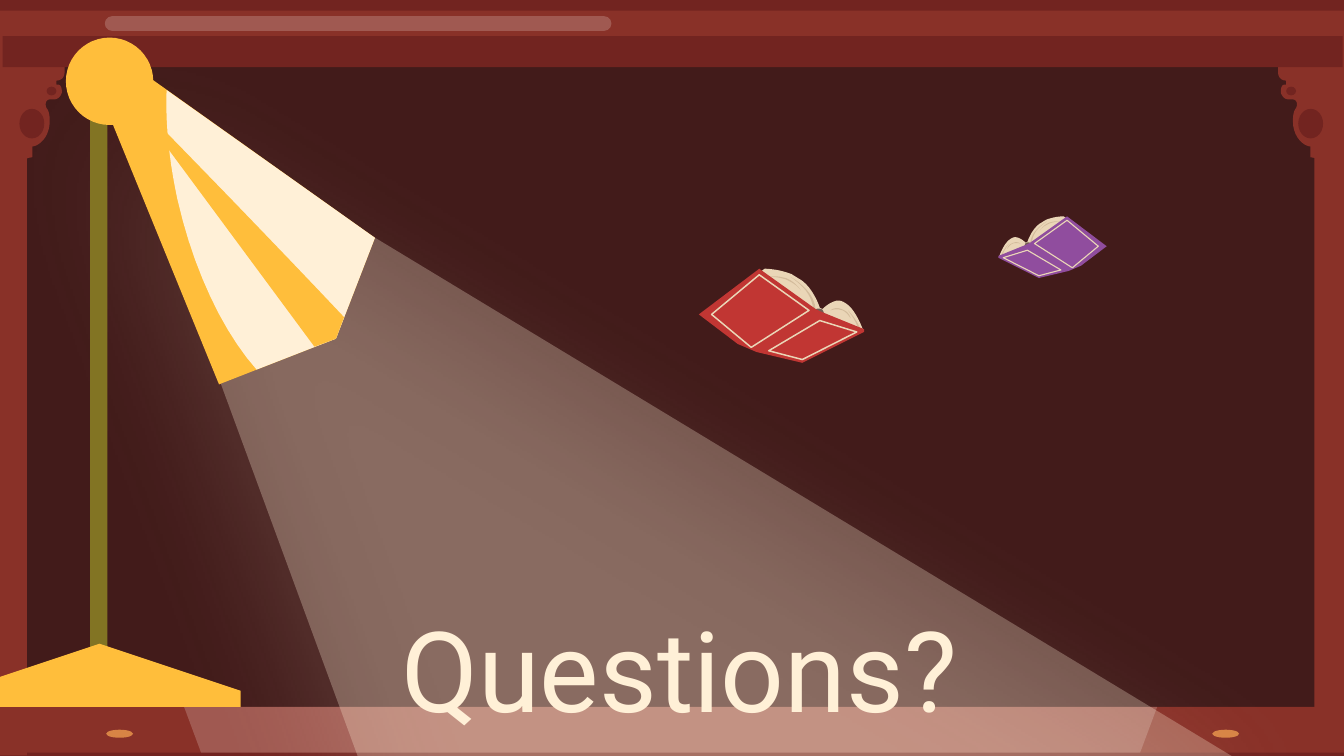
from lxml import etree
from pptx import Presentation
from pptx import util as u
from pptx.dml.color import RGBColor
from pptx.enum import shapes, text
from pptx.oxml.ns import qn

# All places are in hundredths of an inch.
UNIT = 0.0254
STEPS = 10
WIDE, HIGH = 1000, 562.5
MIRROR = 999

THEME = {
    "night": "421B1A", "wood": "893128", "dark": "722420", "white": "FFFCF7",
    "cream": "FFF0D7", "gold": "FFBE3B", "olive": "827423", "light": "D88445",
    "page": "EAD6B7", "shade": "D3BC9C", "spine": "725D52",
    "red": "C13633", "purple": "904D9E", "font": "Roboto", "title": 60,
}

TITLE = {"text": "Questions?", "box": (221, 422, 569, 150)}

# Each part: kind, colour, place (box or outline), opacity in percent
FLOOR = [
    ("rect", "wood", (13, 526, 987, 35), 100),
    ("form", "white", "M 137 526 L 150 561 L 848 561 L 861 526", 20),
    ("rect", "wood", (0, 4, WIDE, 28), 100),
    ("rect", "dark", (0, 0, WIDE, 8), 100),
    ("pill", "white", (78, 12, 377, 11), 20),
    ("rect", "dark", (0, 560, WIDE, 2.5), 100),
    ("rect", "wood", (978, 27, 22, 505), 100),
    ("rect", "wood", (0, 27, 20, 535), 100),
]
CORNER = [
    ("form", "wood", "M 48 49 L -1 49 L 0 143 L 20 143 L 20 137 "
     "C 14 137 12 117 24 117 L 24 109 C 28 109 37 103 37 90 "
     "C 37 85 36 82 35 81 C 33 78 34 74 37 74 L 38 74 "
     "C 38 74 39 74 40 74 C 43 74 45 72 46 69 C 46 67 46 63 43 63 "
     "L 42 63 L 42 60 C 45 60 48 58 48 54", 100),
    ("oval", "dark", (14.5, 81, 18.5, 22), 100),
    ("oval", "dark", (34.7, 64.5, 7.3, 6.5), 100),
]
FRONT = [
    ("rect", "dark", (2, 27, 997, 23), 100),
    ("oval", "light", (79, 543, 20, 6), 100),
    ("oval", "light", (902, 543, 20, 6), 100),
]
BEAM = {"box": (50, -49, 648, 924), "turn": 320.5, "alpha": 28,
        "blur": 73.1, "dist": 28.5, "dir": 90, "glow": 50}
LAMP = [
    ("rect", "olive", (67, 31, 13, 469), 100),
    ("form", "gold", "M 279 177 L 250 252 L 163 286 L 69 56 L 99 49", 100),
    ("form", "cream", "M 279 177 L 250 252 L 191 275 C 166 247 144 201 132 148 "
     "C 126 120 123 92 124 67", 100),
    ("form", "gold", "M 74 479 L 179 514 L 179 526 L -31 526 L -31 514", 100),
    ("form", "gold", "M 256 236 L 250 252 L 234 258 L 92 66 "
     "C 92 66 195 171 256 236", 100),
    ("oval", "gold", (49, 28, 65, 65), 100),
]
BOOK = [
    ("form", "page", "M 589 204 C 592 206 594 207 597 209 C 606 216 610 229 610 229 "
     "L 612 230 C 612 230 620 222 626 224 C 631 226 636 230 642 245 "
     "L 591 253 L 535 224 L 569 200 C 569 200 579 200 589 204", 100),
    ("form", "shade", "M 631 231 C 631 231 638 238 640 245 L 638 244 "
     "C 638 240 631 231 631 231", 100),
    ("form", "shade", "M 626 230 C 629 231 632 233 633 237 C 631 234 629 232 627 231 "
     "C 624 230 621 230 618 231 C 620 229 624 229 626 230", 100),
    ("form", "shade", "M 588 206 C 588 206 606 215 607 231 L 605 230 "
     "C 604 219 597 212 588 206", 100),
    ("form", "shade", "M 585 207 C 590 209 593 212 596 216 C 593 212 589 210 585 208 "
     "C 582 207 578 206 573 206 C 577 205 581 206 585 207", 100),
    ("form", "spine", "M 611 230 C 612 230 613 232 613 233 C 613 234 612 235 610 234 "
     "C 608 234 608 233 607 231 C 607 230 608 229 611 230", 100),
    ("form", "cover", "M 565 200 L 607 230 L 611 232 L 643 245 L 643 247 L 597 270 "
     "L 563 262 L 549 256 L 520 234", 100),
    ("line", "page", "M 565 204.5 L 602 231 L 559 258.5 L 529.5 234", 100),
    ("line", "page", "M 610 238.5 L 637.5 247 L 597 267.5 L 572 261", 100),
]


def cm(val):
    return u.Cm(round(val * UNIT, 6))


def trace(outline):
    """Turn an M/L/C outline into points, with each curve cut into short lines."""
    dots = []
    for cmd in outline.replace("M", "|").replace("L", "|").replace("C", "|").split("|")[1:]:
        nums = [float(n) for n in cmd.split()]
        pts = list(zip(nums[::2], nums[1::2]))
        if len(pts) == 1:
            dots += pts
            continue
        ctrl = [dots[-1]] + pts
        for k in range(1, STEPS + 1):
            t = k / STEPS
            mix = ((1 - t) ** 3, 3 * t * (1 - t) ** 2, 3 * t * t * (1 - t), t ** 3)
            dots.append(tuple(sum(m * p[i] for m, p in zip(mix, ctrl)) for i in (0, 1)))
    return dots


def paint(shp, tone, alpha=100):
    shp.shadow.inherit = False
    shp.fill.solid()
    shp.fill.fore_color.rgb = RGBColor.from_string(tone)
    shp.line.fill.background()
    if alpha < 100:
        tag = next(shp._element.spPr.iter(qn("a:srgbClr")))
        etree.SubElement(tag, qn("a:alpha"), val=str(alpha * 1000))


def draw(pool, parts, move=lambda x, y: (x, y), cover="red", pen=0.8):
    """Draw parts in one group, each point sent through move."""
    kinds = {"rect": shapes.MSO_SHAPE.RECTANGLE, "oval": shapes.MSO_SHAPE.OVAL,
             "pill": shapes.MSO_SHAPE.ROUNDED_RECTANGLE}
    pool = pool.add_group_shape().shapes
    for kind, name, place, alpha in parts:
        tone = THEME[cover if name == "cover" else name]
        if kind in kinds:
            x, y, w, h = place
            (x1, y1), (x2, y2) = move(x, y), move(x + w, y + h)
            box = min(x1, x2), min(y1, y2), abs(x2 - x1), abs(y2 - y1)
            shp = pool.add_shape(kinds[kind], *map(cm, box))
            if kind == "pill":
                shp.adjustments[0] = 0.5
        else:
            dots = [tuple(map(cm, move(*dot))) for dot in trace(place)]
            pencil = pool.build_freeform(*dots[0])
            pencil.add_line_segments(dots[1:], close=True)
            shp = pencil.convert_to_shape()
        paint(shp, tone, alpha)
        if kind == "line":
            shp.fill.background()
            shp.line.color.rgb = RGBColor.from_string(tone)
            shp.line.width = u.Pt(pen)


def shine(pool):
    shp = pool.add_shape(shapes.MSO_SHAPE.ISOSCELES_TRIANGLE, *map(cm, BEAM["box"]))
    shp.rotation = BEAM["turn"]
    paint(shp, THEME["cream"], BEAM["alpha"])
    glow = etree.SubElement(
        shp._element.spPr.find(qn("a:effectLst")), qn("a:outerShdw"),
        blurRad=str(u.Pt(BEAM["blur"])), dist=str(u.Pt(BEAM["dist"])),
        dir=str(BEAM["dir"] * 60000), algn="bl", rotWithShape="0")
    tag = etree.SubElement(glow, qn("a:srgbClr"), val=THEME["cream"])
    etree.SubElement(tag, qn("a:alpha"), val=str(BEAM["glow"] * 1000))


def write(pool):
    frame = pool.add_textbox(*map(cm, TITLE["box"])).text_frame
    pad = cm(10)
    form = {"word_wrap": True, "vertical_anchor": text.MSO_ANCHOR.MIDDLE,
            "margin_left": pad, "margin_right": pad,
            "margin_top": pad, "margin_bottom": pad}
    for key, val in form.items():
        setattr(frame, key, val)
    para = frame.paragraphs[0]
    para.alignment = text.PP_ALIGN.CENTER
    run = para.add_run()
    run.text = TITLE["text"]
    for key, val in {"name": THEME["font"], "size": u.Pt(THEME["title"])}.items():
        setattr(run.font, key, val)
    run.font.color.rgb = RGBColor.from_string(THEME["cream"])


def main():
    deck = Presentation()
    deck.slide_width, deck.slide_height = cm(WIDE), cm(HIGH)
    slide = deck.slides.add_slide(deck.slide_layouts[6])
    slide.background.fill.solid()
    slide.background.fill.fore_color.rgb = RGBColor.from_string(THEME["night"])
    pool = slide.shapes
    draw(pool, FLOOR)
    draw(pool, CORNER)
    draw(pool, CORNER, lambda x, y: (MIRROR - x, y))
    draw(pool, FRONT)
    shine(pool)
    write(pool)
    draw(pool, LAMP)
    draw(pool, BOOK)
    # The far book is the near one, flipped and made smaller
    draw(pool, BOOK, lambda x, y: (794 - 0.655 * (x - 565), 161 + 0.655 * (y - 200)),
         "purple", 0.6)
    deck.save("out.pptx")


if __name__ == "__main__":
    main()
